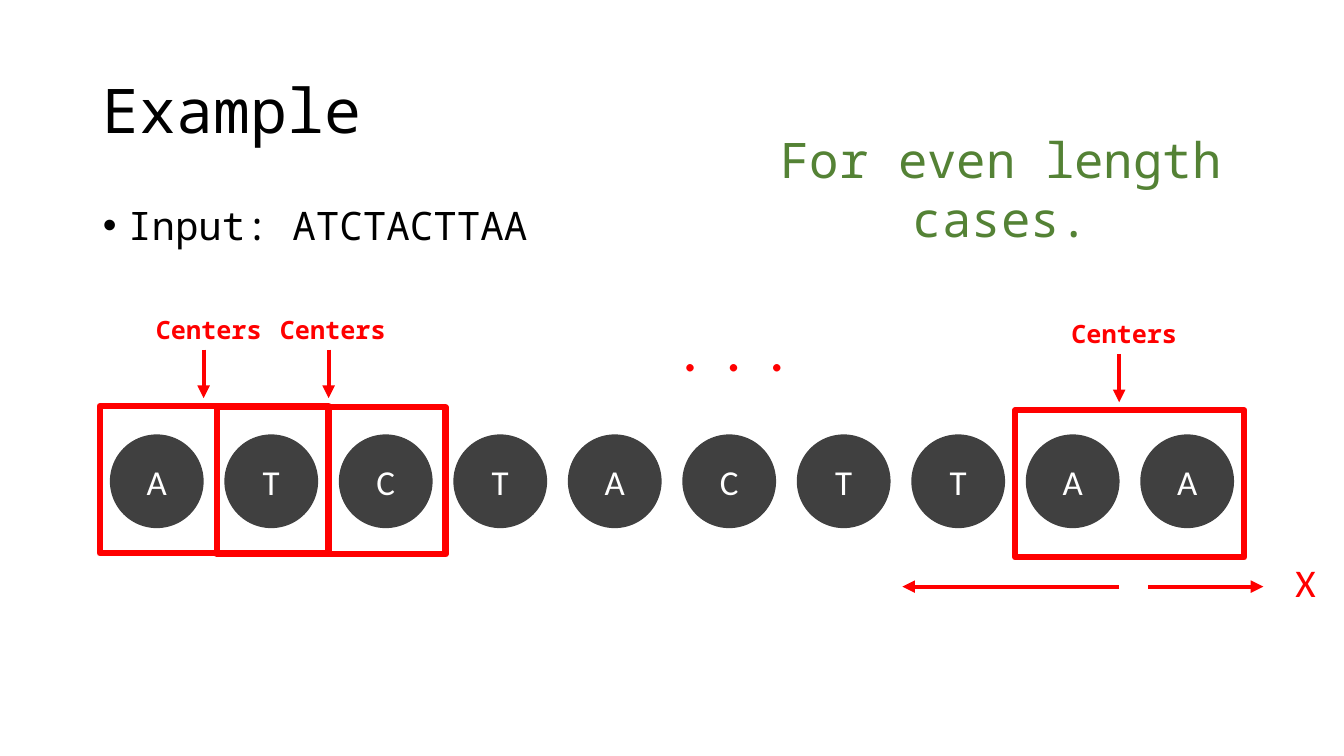
import pptx
import pptx.util
import pptx.dml.color
import pptx.enum.shapes
import pptx.enum.text
import pptx.oxml

Inches, Pt = pptx.util.Inches, pptx.util.Pt
ALIGN = pptx.enum.text.PP_ALIGN
ANCHOR = pptx.enum.text.MSO_ANCHOR
SHAPE = pptx.enum.shapes.MSO_SHAPE
COLORS = {"black": "000000", "white": "FFFFFF", "base": "404040",
          "mark": "FF0000", "note": "548235"}
MONO, SANS = "Noto Sans Mono", "Calibri"


def color(name):
    return pptx.dml.color.RGBColor.from_string(COLORS[name])


def add_xml(parent, tag, **attributes):
    element = parent.makeelement(pptx.oxml.ns.qn(tag), attributes)
    parent.append(element)
    return element


class ExampleSlide:
    """Holds the text styles and the slide being built."""

    styles = {
        "title": ({"name": MONO, "size": Pt(44)}, "black", {"alignment": ALIGN.LEFT, "line_spacing": 0.9}),
        "input": ({"name": MONO, "size": Pt(28)}, "black",
                  {"alignment": ALIGN.LEFT, "line_spacing": 0.9, "space_before": Pt(10)}),
        "base": ({"name": SANS, "size": Pt(25)}, "white", {"alignment": ALIGN.CENTER}),
        "center": ({"name": MONO, "size": Pt(18), "bold": True}, "mark", {"alignment": ALIGN.CENTER}),
        "note": ({"name": MONO, "size": Pt(35)}, "note", {"alignment": ALIGN.CENTER}),
        "dots": ({"name": SANS, "size": Pt(44)}, "mark", {"alignment": ALIGN.LEFT}),
        "stop": ({"name": SANS, "size": Pt(28)}, "mark", {"alignment": ALIGN.LEFT}),
    }

    def __init__(self, deck):
        self.slide = deck.slides.add_slide(deck.slide_layouts[1])

    def set_text(self, frame, text, style):
        font_format, font_color, paragraph_format = self.styles[style]
        paragraph = frame.paragraphs[0]
        run = paragraph.add_run()
        run.text = text
        for target, values in ((run.font, font_format), (paragraph, paragraph_format)):
            for key, value in values.items():
                setattr(target, key, value)
        run.font.color.rgb = color(font_color)
        return paragraph

    def placeholder(self, index, box, text, style, anchor):
        holder = self.slide.placeholders[index]
        for key, value in zip(("left", "top", "width", "height"), box):
            setattr(holder, key, Inches(value))
        frame = holder.text_frame
        frame.auto_size = pptx.enum.text.MSO_AUTO_SIZE.NONE
        frame.vertical_anchor = anchor
        return self.set_text(frame, text, style)

    def bullet(self, paragraph):
        properties = paragraph._p.get_or_add_pPr()
        properties.set("marL", str(Inches(0.25)))
        properties.set("indent", str(Inches(-0.25)))
        add_xml(properties, "a:buFont", typeface="Arial")
        add_xml(properties, "a:buChar", char="•")

    def label(self, box, text, style, wrap=True):
        frame = self.slide.shapes.add_textbox(*map(Inches, box)).text_frame
        frame.word_wrap = wrap
        self.set_text(frame, text, style)

    def base(self, left, top, size, letter):
        circle = self.slide.shapes.add_shape(SHAPE.OVAL, *map(Inches, (left, top, size, size)))
        circle.shadow.inherit = False
        circle.fill.solid()
        circle.fill.fore_color.rgb = color("base")
        circle.line.fill.background()
        frame = circle.text_frame
        for side in ("left", "top", "right", "bottom"):
            setattr(frame, "margin_" + side, 0)
        frame.vertical_anchor = ANCHOR.MIDDLE
        self.set_text(frame, letter, "base")

    def window(self, left, top, width, height):
        pair = self.slide.shapes.add_shape(SHAPE.RECTANGLE, *map(Inches, (left, top, width, height)))
        pair.shadow.inherit = False
        pair.fill.background()
        pair.line.color.rgb = color("mark")
        pair.line.width = Pt(4.5)

    def arrow(self, *ends):
        link = self.slide.shapes.add_connector(
            pptx.enum.shapes.MSO_CONNECTOR.STRAIGHT, *map(Inches, ends))
        link.line.color.rgb = color("mark")
        link.line.width = Pt(3)
        add_xml(link.line._get_or_add_ln(), "a:tailEnd", type="triangle")
        add_xml(link._element.spPr, "a:effectLst")


def main():
    deck = pptx.Presentation()
    deck.slide_width, deck.slide_height = Inches(13.33), Inches(7.5)
    example = ExampleSlide(deck)
    sequence = "ATCTACTTAA"

    # Title and input
    example.placeholder(0, (0.92, 0.4, 11.5, 1.45), "Example", "title", ANCHOR.MIDDLE)
    example.bullet(example.placeholder(
        1, (0.92, 2, 11.5, 1.18), "Input: " + sequence, "input", ANCHOR.TOP))

    # Row of bases, evenly spread between the first and the last
    first, last = 1.09, 11.31
    step = (last - first) / (len(sequence) - 1)
    for position, letter in enumerate(sequence):
        example.base(first + step * position, 4.31, 0.93, letter)

    # Pairs of bases with their centers
    for window_left, window_top, center, label_left, label_top in (
            (0.99, 4.03, 2.02, 1.44, 3.07),
            (2.15, 4.04, 3.26, 2.67, 3.07),
            (10.07, 4.07, 11.1, 10.52, 3.11)):
        example.label((label_left, label_top, 1.26, 0.4), "Centers", "center")
        example.arrow(center, label_top + 0.4, center, label_top + 0.88)
        example.window(window_left, window_top, 2.27, 1.46)

    # Notes
    example.label((7.11, 1.24, 5.64, 0.69), "For even length cases.", "note")
    example.label((6.67, 3.03, 2.48, 0.84), ".  .  .", "dots")

    # Expansion from the last center
    for start, end in ((11.1, 8.95), (11.39, 12.53)):
        example.arrow(start, 5.82, end, 5.82)
    example.label((12.75, 5.49, 0.41, 0.57), "X", "stop", wrap=False)

    deck.save("out.pptx")


if __name__ == "__main__":
    main()
